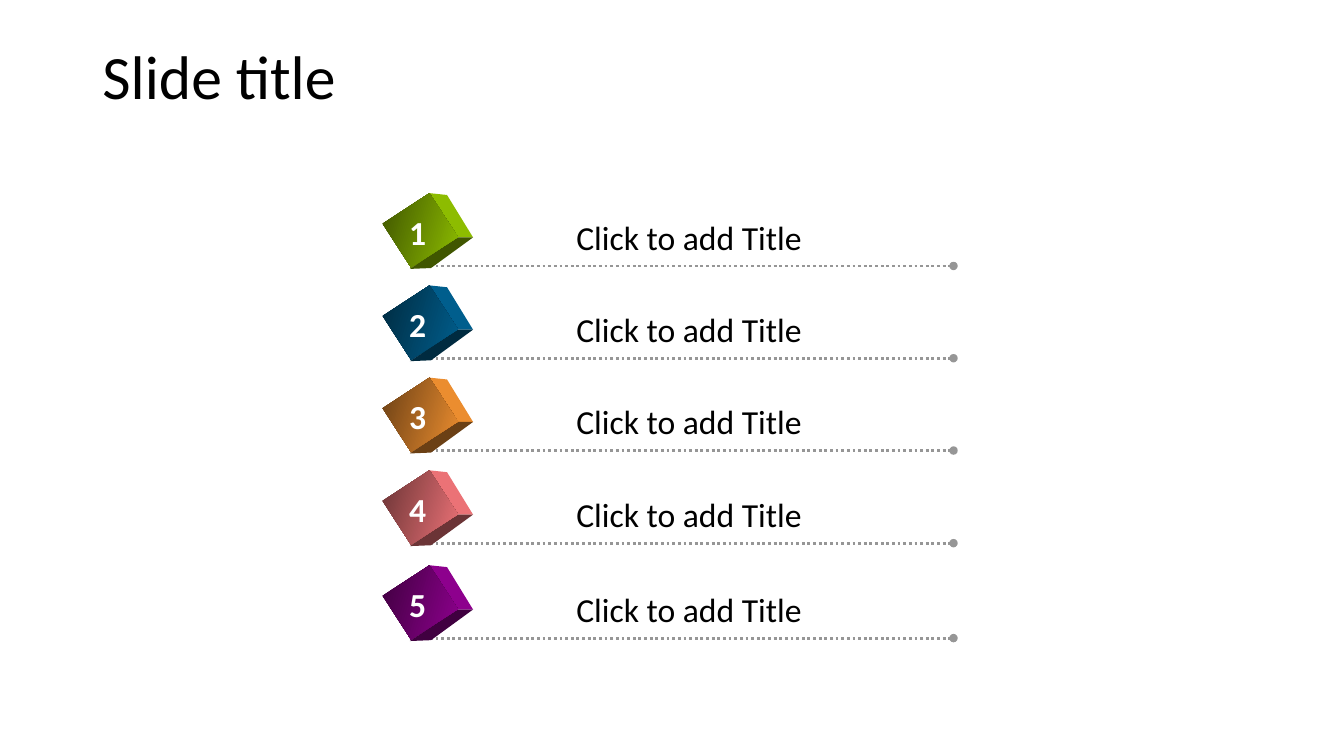
from dataclasses import dataclass
from lxml import etree
from pptx import Presentation
from pptx.dml.color import RGBColor
from pptx.enum.dml import MSO_LINE
from pptx.enum.shapes import MSO_CONNECTOR, MSO_SHAPE
from pptx.enum.text import MSO_ANCHOR, MSO_AUTO_SIZE, PP_ALIGN
from pptx.oxml.ns import qn
from pptx.util import Pt

DOTTED = MSO_LINE.ROUND_DOT
STRAIGHT = MSO_CONNECTOR.STRAIGHT
RECT = MSO_SHAPE.RECTANGLE
MIDDLE = MSO_ANCHOR.MIDDLE
GROW = MSO_AUTO_SIZE.SHAPE_TO_FIT_TEXT
LEFT = PP_ALIGN.LEFT


@dataclass(frozen=True)
class Theme:
    font: str = "Calibri"
    ink: str = "000000"
    white: str = "FFFFFF"
    rule: str = "969696"
    title_size: int = 44
    item_size: int = 24
    cubes: tuple = ("99CC00", "006699", "FF9933", "FF7C80", "990099")
    light: float = 0.92
    dark: float = 0.42


def shade(color, factor):
    return RGBColor(*(round(c * factor) for c in RGBColor.from_string(color)))


class Deck:
    def __init__(self, prs, theme):
        self.theme = theme
        self.s = prs.slides.add_slide(prs.slide_layouts[5])

    def styled_run(self, p, text, size, color, bold=False):
        r = p.add_run()
        r.text = text
        style = {"name": self.theme.font, "size": Pt(size), "bold": bold}
        for key, value in style.items():
            setattr(r.font, key, value)
        r.font.color.rgb = RGBColor.from_string(color)

    def title(self, text, left, top, width, height):
        sp = self.s.shapes.title
        box = {"left": left, "top": top, "width": width, "height": height}
        for key, value in box.items():
            setattr(sp, key, Pt(value))
        tf = sp.text_frame
        tf.vertical_anchor = MIDDLE
        p = tf.paragraphs[0]
        p.alignment = LEFT
        p.line_spacing = 0.9
        self.styled_run(p, text, self.theme.title_size, self.theme.ink)

    def label(self, text, left, top, width, color, bold=False):
        sp = self.s.shapes.add_textbox(Pt(left), Pt(top), Pt(width), Pt(36))
        tf = sp.text_frame
        tf.word_wrap = False
        tf.auto_size = GROW
        p = tf.paragraphs[0]
        self.styled_run(p, text, self.theme.item_size, color, bold)

    def dotted_rule(self, left, right, y):
        line = self.s.shapes.add_connector(STRAIGHT, Pt(left), Pt(y), Pt(right), Pt(y))
        line.line.color.rgb = RGBColor.from_string(self.theme.rule)
        line.line.width = Pt(2)
        line.line.dash_style = DOTTED
        props = line.element.spPr
        etree.SubElement(props.find(qn("a:ln")), qn("a:tailEnd"), type="oval")
        etree.SubElement(props, qn("a:effectLst"))

    def face(self, points, y, color):
        pts = [(Pt(px), Pt(y + py)) for px, py in points]
        fb = self.s.shapes.build_freeform(*pts[0], scale=1.0)
        fb.add_line_segments(pts[1:], close=True)
        sp = fb.convert_to_shape()
        sp.shadow.inherit = False
        sp.fill.solid()
        sp.fill.fore_color.rgb = color
        sp.line.fill.background()

    def cube(self, y, color):
        light = shade(color, self.theme.light)
        dark = shade(color, self.theme.dark)
        corner, far = (326.6, -20.4), (337.9, -20.4)
        self.face([(306, -52.1), (319.3, -50.7), far, corner], y, light)
        self.face([corner, far, (307.9, 1.5), (292.8, 2.1)], y, dark)
        sp = self.s.shapes.add_shape(RECT, Pt(281.5), Pt(y - 45.4), Pt(37.4), Pt(40))
        sp.rotation = 57
        sp.shadow.inherit = False
        sp.line.fill.background()
        sp.fill.gradient()
        sp.fill.gradient_angle = 40
        for stop, tone in zip(sp.fill.gradient_stops, (dark, light)):
            stop.color.rgb = tone

    def item(self, number, y, color):
        self.dotted_rule(303.1, 681.1, y)
        self.cube(y, color)
        self.label("Click to add Title", 404.6, y - 38.8, 192.2, self.theme.ink)
        self.label(str(number), 285.1, y - 42.4, 28.1, self.theme.white, True)


def main():
    prs = Presentation()
    prs.slide_width, prs.slide_height = Pt(960), Pt(540)
    theme = Theme()
    deck = Deck(prs, theme)
    deck.title("Slide title", 66, 28.8, 828, 55.4)
    rule_tops = (190, 255.9, 321.8, 388, 455.8)
    for number, (y, color) in enumerate(zip(rule_tops, theme.cubes), 1):
        deck.item(number, y, color)
    prs.save("out.pptx")


if __name__ == "__main__":
    main()
